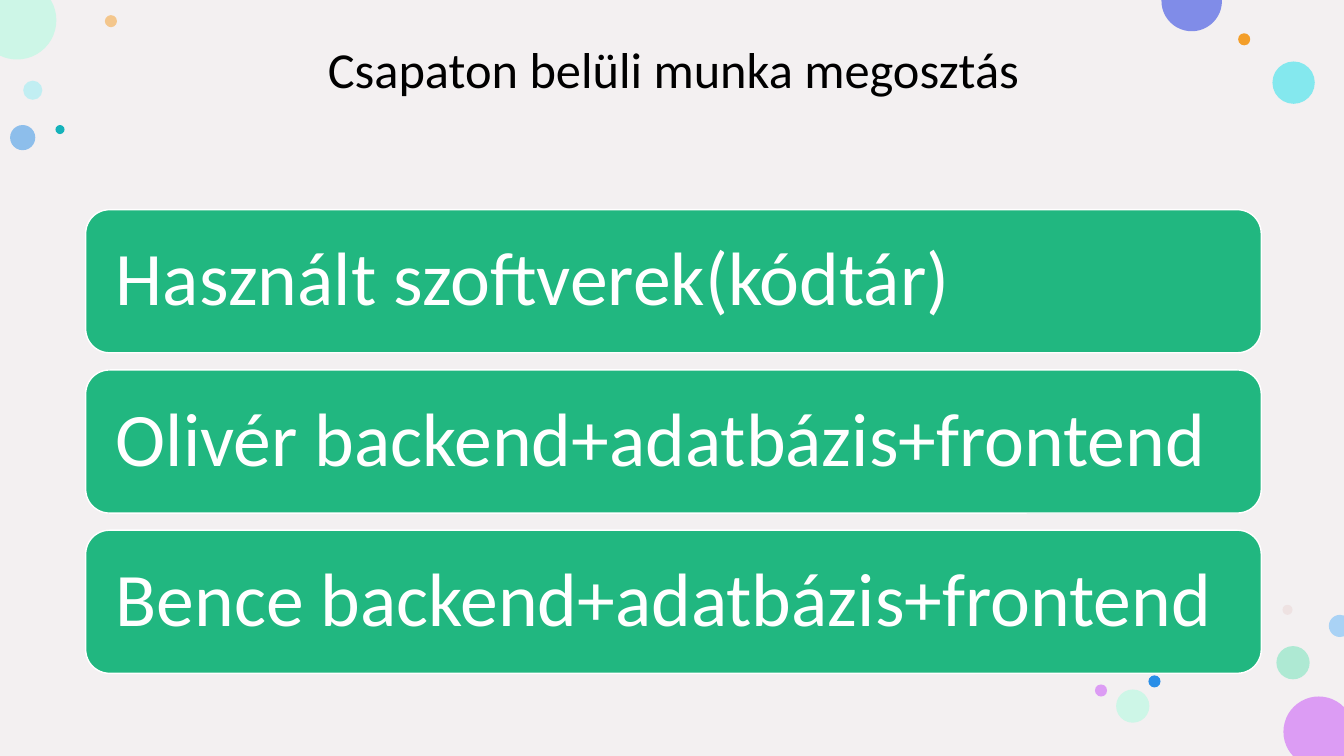
from dataclasses import dataclass
from math import cos, radians, sin

from lxml.etree import SubElement
from pptx import Presentation
from pptx.dml.color import RGBColor
from pptx.enum.shapes import MSO_SHAPE as Shape
from pptx.enum.text import MSO_ANCHOR as Anchor, MSO_AUTO_SIZE as AutoSize, PP_ALIGN as Align
from pptx.oxml.ns import qn
from pptx.util import Inches, Pt


@dataclass(frozen=True)
class Theme:
    font: str = "Calibri"
    title_size: int = 36
    card_size: int = 54
    background: str = "F3F0F1"
    ink: str = "000000"
    white: str = "FFFFFF"
    card: str = "21B780"
    mint: str = "CDF6E7"
    green: str = "6AE4B7"
    teal: str = "14B2BA"
    aqua: str = "5AE6ED"
    pale_aqua: str = "91EEF3"
    blue: str = "298EE7"
    pale_blue: str = "A9D2F5"
    indigo: str = "808CE8"
    violet: str = "DC9CF4"
    orange: str = "F39E29"
    rose: str = "E3BEBE"


theme = Theme()
WIDTH, HEIGHT = 13.33, 7.5


def paint(shape, color, opacity=100):
    shape.shadow.inherit = False
    shape.line.fill.background()
    shape.fill.solid()
    shape.fill.fore_color.rgb = RGBColor.from_string(color)
    if opacity < 100:
        tint = shape.fill._xPr.find(qn("a:solidFill"))[0]
        SubElement(tint, qn("a:alpha")).set("val", str(opacity * 1000))


def write(box, text, size, color, align):
    frame = box.text_frame
    frame.text = text
    frame.word_wrap = True
    frame.auto_size = AutoSize.NONE
    frame.vertical_anchor = Anchor.MIDDLE
    para = frame.paragraphs[0]
    para.alignment = align
    para.line_spacing = 0.9
    span = para.runs[0]
    span.font.name = theme.font
    span.font.size = Pt(size)
    span.font.color.rgb = RGBColor.from_string(color)


deck = Presentation()
deck.slide_width, deck.slide_height = Inches(WIDTH), Inches(HEIGHT)
page = deck.slides.add_slide(deck.slide_layouts[5])

backdrop = page.shapes.add_shape(Shape.RECTANGLE, 0, 0, deck.slide_width, deck.slide_height)
paint(backdrop, theme.background)

dots = [
    (0.23, 0.8, 0.19, theme.pale_aqua, 50),
    (1.04, 0.15, 0.12, theme.orange, 50),
    (12.66, 6.41, 0.33, theme.green, 50),
    (0.1, 1.24, 0.25, theme.blue, 50),
    (12.62, 0.61, 0.42, theme.aqua, 72),
    (12.28, 0.33, 0.12, theme.orange, 100),
    (12.72, 6, 0.1, theme.rose, 28),
    (11.39, 6.7, 0.12, theme.blue, 100),
    (11.07, 6.84, 0.33, theme.mint, 100),
    (10.86, 6.79, 0.12, theme.violet, 100),
    (0.55, 1.24, 0.09, theme.teal, 100),
]
for left, top, size, color, opacity in dots:
    dot = page.shapes.add_shape(Shape.OVAL, Inches(left), Inches(top), Inches(size), Inches(size))
    paint(dot, color, opacity)

edge_circles = [
    ((12.73, 6.91, 13.33, 7.5), (13.08, 7.26), 0.35, 137, 179, (13.33, 7.5), theme.violet),
    ((0, 0, 0.56, 0.59), (0.17, 0.2), 0.39, -31, 147, (0, 0), theme.mint),
    ((11.51, 0, 12.12, 0.31), (11.82, 0.01), 0.3, -2, 184, None, theme.indigo),
    ((13.18, 6.1, 13.33, 6.33), (13.29, 6.21), 0.11, 69, 222, None, theme.pale_blue),
]
for (left, top, right, bottom), (center_x, center_y), radius, start, sweep, corner, color in edge_circles:
    builder = page.shapes.build_freeform(Inches(left), Inches(top))
    builder.add_line_segments([
        (Inches(right), Inches(top)), (Inches(right), Inches(bottom)), (Inches(left), Inches(bottom))])
    circle = builder.convert_to_shape()
    paint(circle, color)
    contour = next(circle._element.iter(qn("a:path")))
    for segment in list(contour):
        contour.remove(segment)
    arc_start = (center_x + radius * cos(radians(start)), center_y + radius * sin(radians(start)))
    for tag, point in (("a:moveTo", corner or arc_start), ("a:lnTo", arc_start)):
        if tag == "a:moveTo" or corner:
            spot = SubElement(SubElement(contour, qn(tag)), qn("a:pt"))
            spot.set("x", str(Inches(point[0] - left)))
            spot.set("y", str(Inches(point[1] - top)))
    arc = SubElement(contour, qn("a:arcTo"))
    for name, value in (("wR", Inches(radius)), ("hR", Inches(radius)),
                        ("stAng", start % 360 * 60000), ("swAng", sweep * 60000)):
        arc.set(name, str(value))
    SubElement(contour, qn("a:close"))

LEFT, CONTENT_WIDTH = 0.85, 11.66
title = page.shapes.title
title.left, title.top = Inches(LEFT), Inches(0.4)
title.width, title.height = Inches(CONTENT_WIDTH), Inches(1.45)
write(title, "Csapaton belüli munka megosztás", theme.title_size, theme.ink, Align.CENTER)
title.text_frame.margin_bottom = Inches(0.86)
page.shapes._spTree.append(title._element)

CARD_TOP, CARD_HEIGHT, CARD_GAP, CARD_INSET = 2.08, 1.42, 0.17, 0.23
cards = [
    "Használt szoftverek(kódtár)",
    "Olivér backend+adatbázis+frontend",
    "Bence backend+adatbázis+frontend",
]
for index, text in enumerate(cards):
    card = page.shapes.add_shape(
        Shape.ROUNDED_RECTANGLE, Inches(LEFT), Inches(CARD_TOP + index * (CARD_HEIGHT + CARD_GAP)),
        Inches(CONTENT_WIDTH), Inches(CARD_HEIGHT))
    paint(card, theme.card)
    card.line.color.rgb = RGBColor.from_string(theme.white)
    card.line.width = Pt(1)
    write(card, text, theme.card_size, theme.white, Align.LEFT)
    card.text_frame.margin_left = card.text_frame.margin_right = Inches(CARD_INSET)

deck.save("out.pptx")
